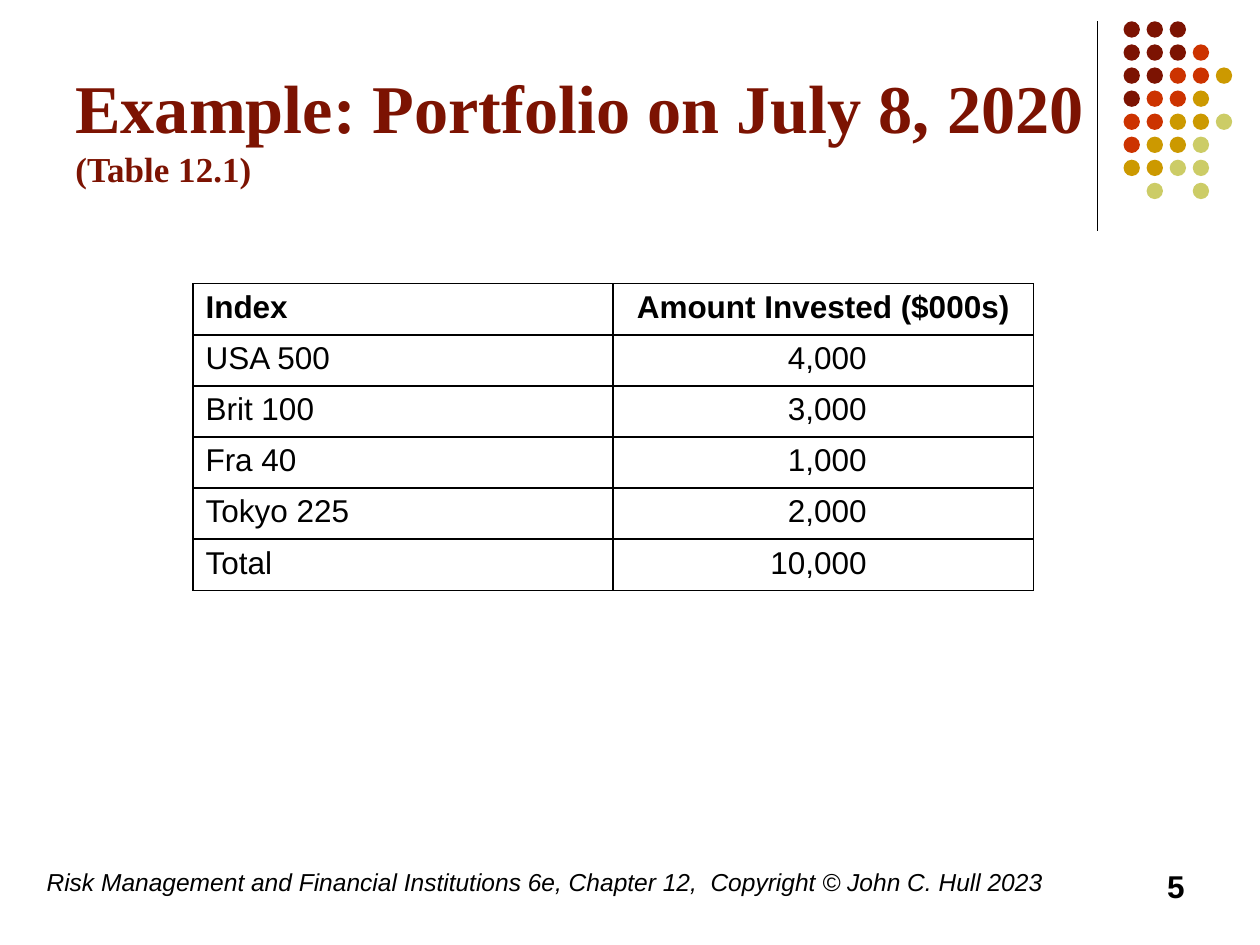
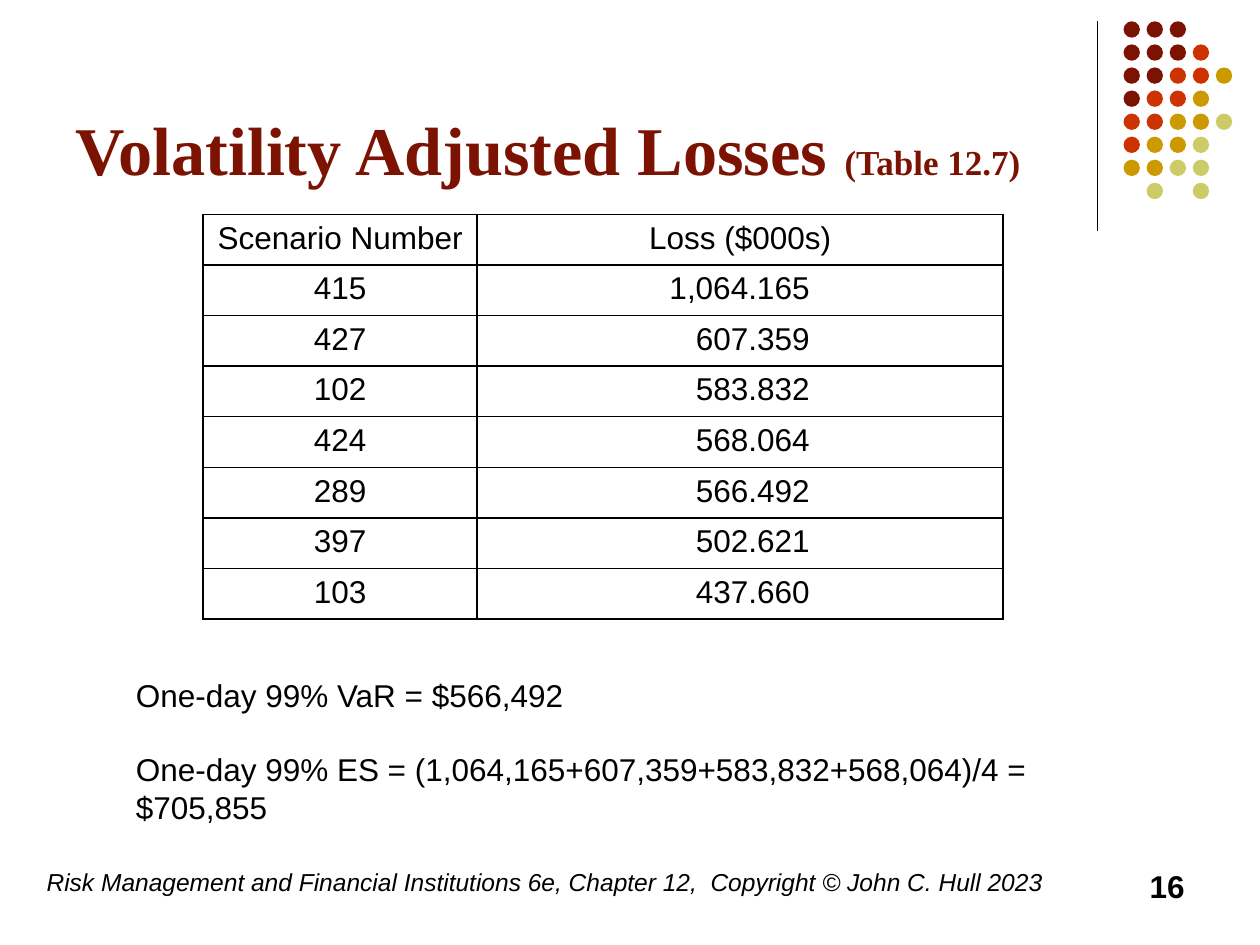
from dataclasses import dataclass

from lxml.etree import SubElement
from pptx import Presentation
from pptx.dml.color import RGBColor
from pptx.enum.shapes import MSO_CONNECTOR, MSO_SHAPE
from pptx.enum.text import MSO_ANCHOR, PP_ALIGN
from pptx.oxml.ns import qn
from pptx.util import Cm, Pt

LEFT, CENTER, RIGHT = PP_ALIGN.LEFT, PP_ALIGN.CENTER, PP_ALIGN.RIGHT

FOOTER = ("Risk Management and Financial Institutions 6e, Chapter 12,"
          "  Copyright © John C. Hull 2023")

# Each table column: width in cm, header alignment, body alignment, right inset of body in cm
SLIDES = [
    {
        "number": 5,
        "title": "Example: Portfolio on July 8, 2020 ",
        "reference": "(Table 12.1)",
        "table": {
            "left": 3.89, "top": 5.72, "row_height": 1.03, "header": "table_header",
            "columns": [(8.47, LEFT, LEFT, 0.25), (8.47, CENTER, RIGHT, 3.36)],
            "rows": [
                ("Index", "Amount Invested ($000s)"),
                ("USA 500", "4,000"),
                ("Brit 100", "3,000"),
                ("Fra 40", "1,000"),
                ("Tokyo 225", "2,000"),
                ("Total", "10,000"),
            ],
        },
        "results": [],
    },
    {
        "number": 16,
        "title": "Volatility Adjusted Losses ",
        "reference": "(Table 12.7)",
        "table": {
            "left": 4.09, "top": 4.32, "row_height": 1.02, "header": "body",
            "columns": [(5.53, CENTER, CENTER, 0.25), (10.6, CENTER, RIGHT, 3.9)],
            "rows": [
                ("Scenario Number", "Loss ($000s)"),
                ("415", "1,064.165"),
                ("427", "607.359"),
                ("102", "583.832"),
                ("424", "568.064"),
                ("289", "566.492"),
                ("397", "502.621"),
                ("103", "437.660"),
            ],
        },
        "results": [
            "One-day 99% VaR = $566,492",
            "One-day 99% ES = (1,064,165+607,359+583,832+568,064)/4 = $705,855",
        ],
    },
]

# One letter per dot, keyed to Theme.dots; a dot marks an empty place
DOT_ROWS = ["MMM..", "MMMR.", "MMRRG", "MRRG.", "RRGGL", "RGGL.", "GGLL.", ".L.L."]


@dataclass(frozen=True)
class Theme:
    black = RGBColor(0x00, 0x00, 0x00)
    maroon = RGBColor(0x7C, 0x13, 0x02)
    dots = {
        "M": maroon,
        "R": RGBColor(0xCC, 0x33, 0x00),
        "G": RGBColor(0xCC, 0x99, 0x00),
        "L": RGBColor(0xCC, 0xCC, 0x66),
    }
    fonts = {
        "title": {"name": "Times New Roman", "size": Pt(39), "bold": True},
        "reference": {"name": "Times New Roman", "size": Pt(20), "bold": True},
        "body": {"name": "Arial", "size": Pt(18), "bold": False},
        "table_header": {"name": "Arial", "size": Pt(18), "bold": True},
        "footer": {"name": "Arial", "size": Pt(14), "italic": True},
        "number": {"name": "Arial", "size": Pt(18), "bold": True},
    }
    result_gap = Pt(20.7)
    rule_width = Pt(0.75)
    border_width = Pt(1)


THEME = Theme()


def add_span(para, text, style, color=THEME.black):
    span = para.add_run()
    span.text = text
    for name, value in THEME.fonts[style].items():
        setattr(span.font, name, value)
    span.font.color.rgb = color


def add_box(page, left, top, width, height, anchor=MSO_ANCHOR.TOP):
    frame = page.shapes.add_textbox(Cm(left), Cm(top), Cm(width), Cm(height)).text_frame
    frame.word_wrap = True
    frame.vertical_anchor = anchor
    return frame


def add_dot_pattern(page):
    left, top, pitch, size = 22.65, 0.43, 0.465, 0.33
    for row, letters in enumerate(DOT_ROWS):
        for column, letter in enumerate(letters):
            if letter == ".":
                continue
            dot = page.shapes.add_shape(
                MSO_SHAPE.OVAL, Cm(left + column * pitch), Cm(top + row * pitch),
                Cm(size), Cm(size))
            dot.shadow.inherit = False
            dot.fill.solid()
            dot.fill.fore_color.rgb = THEME.dots[letter]
            dot.line.fill.background()


def add_rule(page):
    rule = page.shapes.add_connector(
        MSO_CONNECTOR.STRAIGHT, Cm(22.12), Cm(0.43), Cm(22.12), Cm(4.65))
    rule.line.color.rgb = THEME.black
    rule.line.width = THEME.rule_width
    SubElement(rule._element.spPr, qn("a:effectLst"))


def add_frame(page, content):
    """Draw what every slide shares: rule, dots, title, footer and number."""
    add_rule(page)
    add_dot_pattern(page)
    title = add_box(page, 1.27, 0.33, 20.96, 3.61, MSO_ANCHOR.BOTTOM).paragraphs[0]
    for part in ("title", "reference"):
        add_span(title, content[part], part, THEME.maroon)
    add_span(add_box(page, 0.69, 17.35, 21, 1.27).paragraphs[0], FOOTER, "footer")
    number = add_box(page, 18.21, 17.35, 5.92, 1.27).paragraphs[0]
    number.alignment = RIGHT
    add_span(number, str(content["number"]), "number")


def add_borders(cell):
    properties = cell._tc.get_or_add_tcPr()
    for side in ("lnL", "lnR", "lnT", "lnB"):
        line = SubElement(properties, qn(f"a:{side}"), w=str(THEME.border_width))
        fill = SubElement(line, qn("a:solidFill"))
        SubElement(fill, qn("a:srgbClr"), val=str(THEME.black))


def add_grid(page, content):
    columns, rows = content["columns"], content["rows"]
    height = Cm(content["row_height"])
    width = Cm(sum(column[0] for column in columns))
    table = page.shapes.add_table(
        len(rows), len(columns), Cm(content["left"]), Cm(content["top"]),
        width, height * len(rows)).table
    table.first_row = table.horz_banding = False
    for index, column in enumerate(columns):
        table.columns[index].width = Cm(column[0])
    for row_index, texts in enumerate(rows):
        table.rows[row_index].height = height
        is_header = row_index == 0
        for index, text in enumerate(texts):
            _, header_alignment, body_alignment, inset = columns[index]
            cell = table.cell(row_index, index)
            add_borders(cell)
            cell.fill.background()
            para = cell.text_frame.paragraphs[0]
            para.alignment = header_alignment if is_header else body_alignment
            if not is_header:
                cell.margin_right = Cm(inset)
            add_span(para, text, content["header"] if is_header else "body")


def add_results(page, results):
    frame = add_box(page, 2.49, 13.51, 18.8, 3.33)
    for index, text in enumerate(results):
        para = frame.add_paragraph() if index else frame.paragraphs[0]
        if index:
            para.space_before = THEME.result_gap
        add_span(para, text, "body")


def main():
    deck = Presentation()
    deck.slide_width, deck.slide_height = Cm(25.4), Cm(19.05)
    blank = deck.slide_layouts[6]
    for content in SLIDES:
        page = deck.slides.add_slide(blank)
        add_frame(page, content)
        add_grid(page, content["table"])
        if content["results"]:
            add_results(page, content["results"])
    deck.save("out.pptx")


if __name__ == "__main__":
    main()
